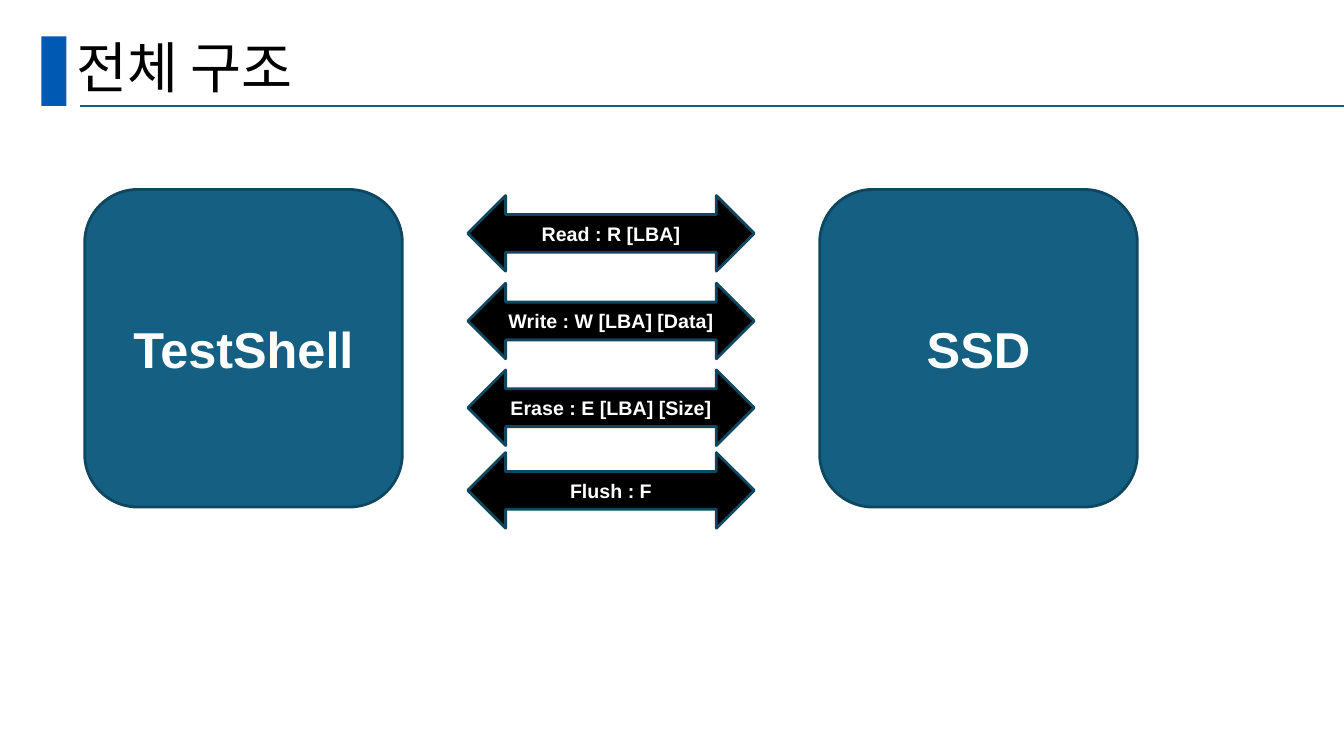
import pptx
import pptx.util
import pptx.dml.color
import pptx.enum.shapes
import pptx.enum.text
import lxml.etree
from pptx.oxml.ns import qn

Inches = pptx.util.Inches
Kind = pptx.enum.shapes.MSO_SHAPE
Align = pptx.enum.text.PP_ALIGN

COLORS = {
    "accent": "005AB4",
    "teal": "156082",
    "edge": "104760",
    "black": "000000",
    "white": "FFFFFF",
}


def color(name):
    return pptx.dml.color.RGBColor.from_string(COLORS[name])


def write(shape, text, size, tint, font, bold=False, align=Align.CENTER):
    frame = shape.text_frame
    frame.word_wrap = True
    frame.vertical_anchor = pptx.enum.text.MSO_ANCHOR.MIDDLE
    frame.text = text
    para = frame.paragraphs[0]
    para.alignment = align
    run = para.runs[0]
    run.font.size = pptx.util.Pt(size)
    run.font.name = font
    run.font.bold = bold
    run.font.color.rgb = color(tint)
    east = lxml.etree.SubElement(run.font._element, qn("a:ea"))
    east.set("typeface", font)


def add_block(slide, kind, box, fill, edge=None):
    shape = slide.shapes.add_shape(kind, *map(Inches, box))
    shape.shadow.inherit = False
    shape.fill.solid()
    shape.fill.fore_color.rgb = color(fill)
    if edge:
        shape.line.color.rgb = color(edge)
        shape.line.width = pptx.util.Pt(2)
    else:
        shape.line.fill.background()
    return shape


def add_rule(slide, left, right, top):
    line = slide.shapes.add_connector(
        pptx.enum.shapes.MSO_CONNECTOR.STRAIGHT,
        Inches(left), Inches(top), Inches(right), Inches(top))
    line.line.color.rgb = color("teal")
    line.line.width = pptx.util.Pt(1.5)
    lxml.etree.SubElement(line._element.spPr, qn("a:effectLst"))


def add_title(slide, text):
    box = slide.shapes.add_textbox(
        Inches(0.66), Inches(0.34), Inches(11.5), Inches(0.71))
    write(box, text, 39.6, "black", "Noto Sans CJK KR", align=Align.LEFT)
    box.text_frame.paragraphs[0].line_spacing = 0.9


def add_module(slide, text, left):
    shape = add_block(slide, Kind.ROUNDED_RECTANGLE,
                      (left, 1.88, 3.15, 3.15), "teal", "edge")
    write(shape, text, 36, "white", "Arial", bold=True)


def add_command(slide, text, top):
    shape = add_block(slide, Kind.LEFT_RIGHT_ARROW,
                      (4.64, top, 2.84, 0.75), "black", "edge")
    write(shape, text, 14, "white", "Arial", bold=True)


def main():
    deck = pptx.Presentation()
    deck.slide_width = Inches(13.33)
    deck.slide_height = Inches(7.5)
    slide = deck.slides.add_slide(deck.slide_layouts[6])

    add_block(slide, Kind.RECTANGLE, (0.41, 0.36, 0.25, 0.69), "accent")
    add_rule(slide, 0.79, 13.33, 1.05)
    add_title(slide, "전체 구조")

    for text, left in (("TestShell", 0.84), ("SSD", 8.13)):
        add_module(slide, text, left)

    commands = (
        ("Read : R [LBA]", 1.94),
        ("Write : W [LBA] [Data]", 2.81),
        ("Erase : E [LBA] [Size]", 3.67),
        ("Flush : F", 4.49),
    )
    for text, top in commands:
        add_command(slide, text, top)

    deck.save("out.pptx")


if __name__ == "__main__":
    main()
